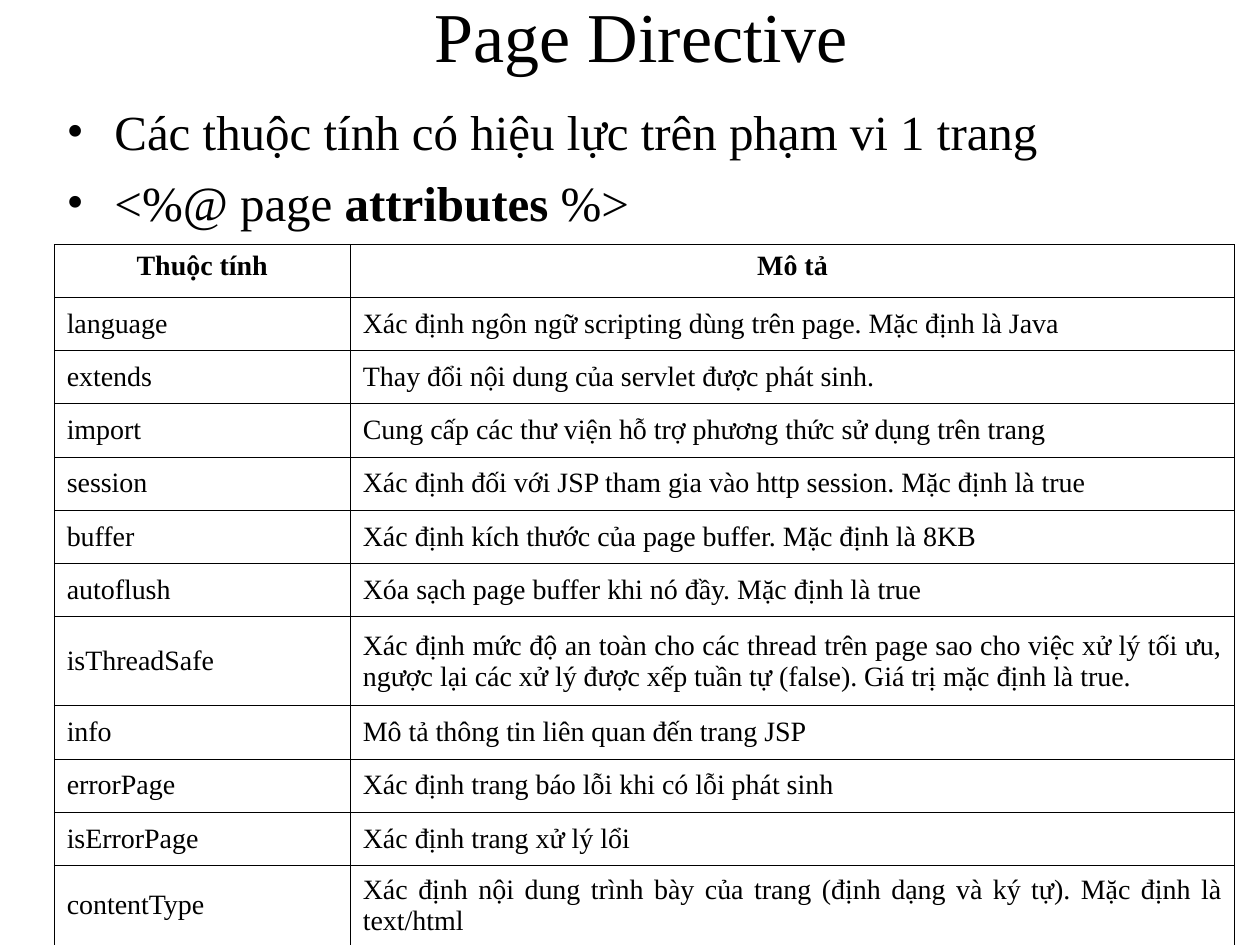
from lxml import etree
from pptx import Presentation
from pptx import util as u
from pptx.dml.color import RGBColor
from pptx.enum import text
from pptx.oxml.ns import qn

COLORS = {"ink": "000000"}
FONT = "Times New Roman"
BORDER_WIDTH = u.Pt(0.45)
TALL_ROWS = {"isThreadSafe": 0.71, "contentType": 0.63}
COLUMN_WIDTHS = (2.35, 7.02)

TITLE_BOX = (0.59, 0, 9, 0.54)
BULLETS_BOX = (0.43, 0.76, 9.21, 1.26)
TABLE_BOX = (0.43, 1.94, 9.37, 5.56)

VOWELS = "aăâeêioôơuưy"
TONED_VOWELS = {
    0x300: "àằầèềìòồờùừỳ",
    0x301: "áắấéếíóốớúứý",
    0x303: "ãẵẫẽễĩõỗỡũữỹ",
    0x309: "ảẳẩẻểỉỏổởủửỷ",
    0x323: "ạặậẹệịọộợụựỵ",
}
TONE_MARKS = {
    ord(toned): vowel + chr(mark)
    for mark, letters in TONED_VOWELS.items()
    for toned, vowel in zip(letters, VOWELS)
}

BULLETS = [
    [("Các thuộc tính có hiệu lực trên phạm vi 1 trang", False)],
    [("<%@ page ", False), ("attributes", True), (" %> ", False)],
]
HEADER = ("Thuộc tính", "Mô tả")
ATTRIBUTES = [
    ("language", "Xác định ngôn ngữ scripting dùng trên page. Mặc định là Java"),
    ("extends", "Thay đổi nội dung của servlet được phát sinh. "),
    ("import", "Cung cấp các thư viện hỗ trợ phương thức sử dụng trên trang"),
    ("session", "Xác định đối với JSP tham gia vào http session. Mặc định là true"),
    ("buffer", "Xác định kích thước của page buffer. Mặc định là 8KB"),
    ("autoflush", "Xóa sạch page buffer khi nó đầy. Mặc định là true"),
    ("isThreadSafe", "Xác định mức độ an toàn cho các thread trên page sao cho việc xử lý "
     "tối ưu, ngược lại các xử lý được xếp tuần tự (false). Giá trị mặc định là true."),
    ("info", "Mô tả thông tin liên quan đến trang JSP"),
    ("errorPage", "Xác định trang báo lỗi khi có lỗi phát sinh"),
    ("isErrorPage", "Xác định trang xử lý lổi"),
    ("contentType", "Xác định nội dung trình bày của trang (định dạng và ký tự). "
     "Mặc định là text/html"),
]


def compose(words):
    """Write Vietnamese tones as combining marks after their vowels."""
    return words.translate(TONE_MARKS)


def inches(box):
    """Convert a box in inches to slide lengths."""
    return [u.Inches(length) for length in box]


def style(paragraph, size, align, bold=False):
    """Set the font and alignment of a whole paragraph."""
    paragraph.alignment = align
    font = paragraph.font
    font.name, font.size, font.bold = FONT, u.Pt(size), bold
    font.color.rgb = RGBColor.from_string(COLORS["ink"])


def add_bullet(paragraph, indent):
    """Give a paragraph a hanging round bullet."""
    props = paragraph._p.get_or_add_pPr()
    props.set("marL", str(indent))
    props.set("indent", str(-indent))
    defaults = props.find(qn("a:defRPr"))
    defaults.addprevious(etree.Element(qn("a:buFont"), typeface=FONT))
    defaults.addprevious(etree.Element(qn("a:buChar"), char="•"))


def add_borders(cell):
    """Draw a thin line on each side of a cell."""
    props = cell._tc.get_or_add_tcPr()
    for position, side in enumerate(("lnL", "lnR", "lnT", "lnB")):
        line = etree.Element(qn(f"a:{side}"), w=str(int(BORDER_WIDTH)))
        fill = etree.SubElement(line, qn("a:solidFill"))
        etree.SubElement(fill, qn("a:srgbClr"), val=COLORS["ink"])
        props.insert(position, line)


def place_title(slide, box):
    """Move and format the slide title."""
    title = slide.shapes.title
    title.left, title.top, title.width, title.height = inches(box)
    frame = title.text_frame
    frame.text = "Page Directive"
    frame.vertical_anchor = text.MSO_ANCHOR.MIDDLE
    frame.auto_size = text.MSO_AUTO_SIZE.NONE
    style(frame.paragraphs[0], 40, text.PP_ALIGN.CENTER)


def place_bullets(slide, box):
    """Write the scope and syntax bullets."""
    frame = slide.shapes.add_textbox(*inches(box)).text_frame
    frame.word_wrap = True
    frame.margin_top = u.Inches(0.05)
    for index, pieces in enumerate(BULLETS):
        bullet = frame.add_paragraph() if index else frame.paragraphs[0]
        style(bullet, 28, text.PP_ALIGN.LEFT)
        bullet.space_before = u.Pt(7 if index else 0)
        add_bullet(bullet, u.Inches(0.38))
        for words, bold in pieces:
            run = bullet.add_run()
            run.text = compose(words)
            if bold:
                run.font.bold = True


def place_table(slide, box):
    """Build the table of page attributes."""
    rows = [HEADER, *ATTRIBUTES]
    table = slide.shapes.add_table(len(rows), len(HEADER), *inches(box)).table
    table.first_row = table.horz_banding = False
    for column, width in zip(table.columns, COLUMN_WIDTHS):
        column.width = u.Inches(width)
    row_height = (box[3] - sum(TALL_ROWS.values())) / (len(rows) - len(TALL_ROWS))
    for row, entries in zip(table.rows, rows):
        row.height = u.Inches(TALL_ROWS.get(entries[0], row_height))
        heading = entries is HEADER
        aligns = (text.PP_ALIGN.LEFT, text.PP_ALIGN.JUSTIFY)
        for cell, words, align in zip(row.cells, entries, aligns):
            cell.text = compose(words)
            cell.vertical_anchor = text.MSO_ANCHOR.TOP if heading else text.MSO_ANCHOR.MIDDLE
            cell.fill.background()
            add_borders(cell)
            style(cell.text_frame.paragraphs[0], 16,
                  text.PP_ALIGN.CENTER if heading else align, heading)


def main():
    """Build and save the slide."""
    deck = Presentation()
    deck.slide_width, deck.slide_height = u.Inches(10), u.Inches(7.5)
    slide = deck.slides.add_slide(deck.slide_layouts[5])
    place_title(slide, TITLE_BOX)
    place_bullets(slide, BULLETS_BOX)
    place_table(slide, TABLE_BOX)
    deck.save("out.pptx")


if __name__ == "__main__":
    main()
